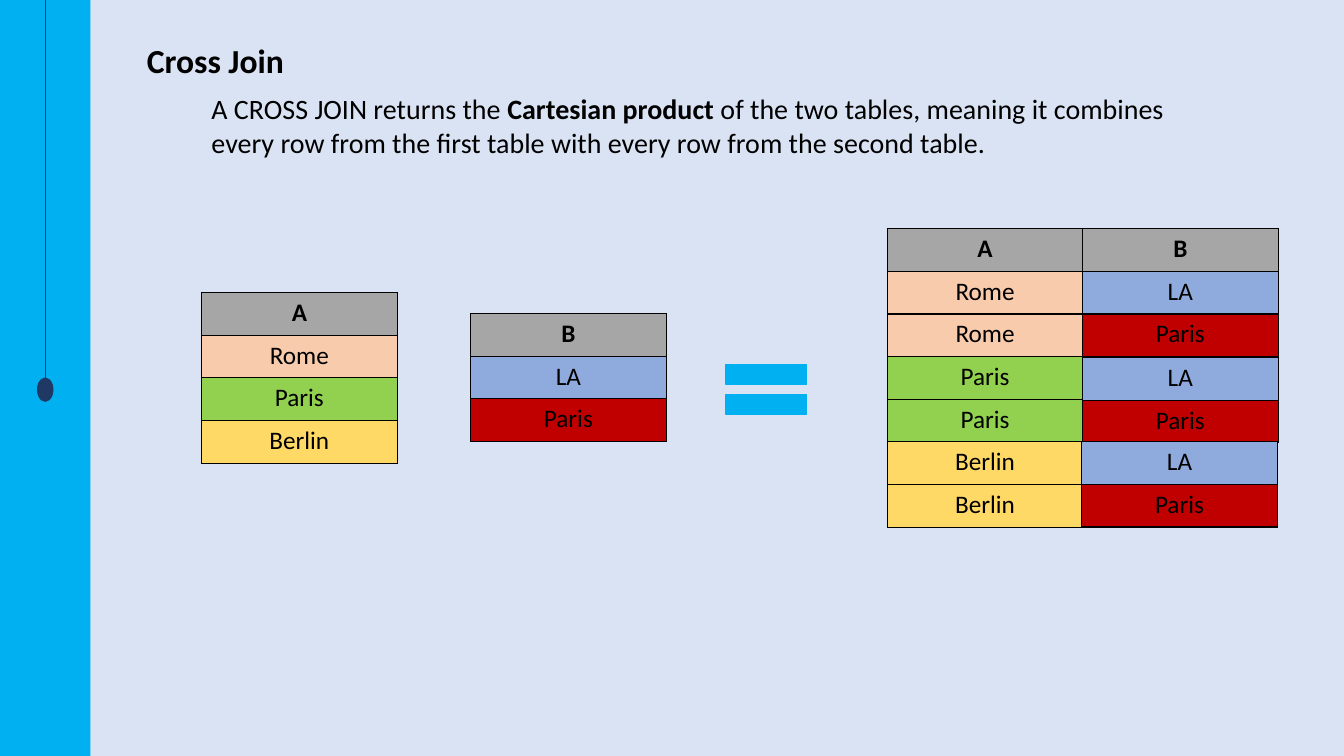
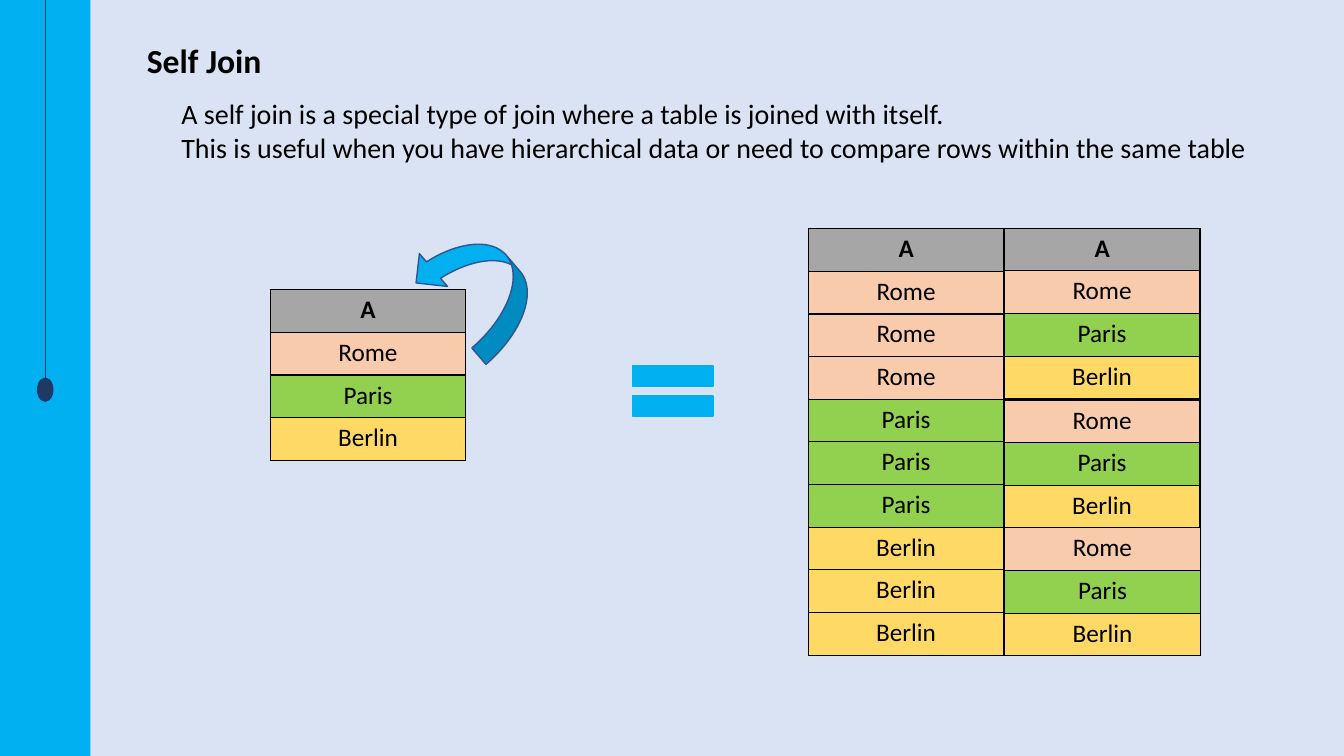
import lxml.etree
import pptx
import pptx.util
import pptx.dml.color
import pptx.enum.shapes
import pptx.enum.text
import pptx.oxml.ns

Cm = pptx.util.Cm
Pt = pptx.util.Pt
Shape = pptx.enum.shapes.MSO_SHAPE


class Theme:
    font = "Calibri"
    back, accent, navy, edge = "DAE3F3", "00B0F0", "203864", "325491"
    ink, head = "000000", "A6A6A6"
    title, body, cell = 24, 20, 18
    hair, line = 0.5, 1


WIDE, HIGH = 33.87, 19.05
BAND, DROP = 2.28, 9.53
DOT = (0.38, 0.58)
TITLE = (3.45, 0.89, 7.54, 1.27)
EQUAL = (2.77, 2.13)
COL, ROW = 4.93, 4.3 / 4

LEFT = [("Rome", "F8CBAD"), ("Paris", "92D050"), ("Berlin", "FFD966")]
RIGHT = [("LA", "8FAADC"), ("Paris", "C00000")]

SLIDES = [
    {
        "title": "Cross Join",
        "box": (5.08, 2.18, 25.68, 1.96),
        "body": [[
            ("A CROSS JOIN returns the ", False),
            ("Cartesian product ", True),
            ("of the two tables, meaning it combines every row from the "
             "first table with every row from the second table.", False),
        ]],
        "tables": [
            ((5.08, 7.37), "A", LEFT, 1),
            ((11.86, 7.9), "B", RIGHT, 1),
            ((22.36, 5.76), "A", LEFT, len(RIGHT)),
            ((27.28, 5.76), "B", RIGHT, 1),
            ((27.28, 9.01), None, RIGHT, 1),
            ((27.26, 11.13), None, RIGHT, 1),
        ],
        "equal": (17.93, 8.75),
    },
    {
        "title": "Self Join",
        "box": (4.32, 2.31, 27.86, 1.96),
        "body": [
            [("A self join is a special type of join where a table is "
              "joined with itself.", False)],
            [("This is useful when you have hierarchical data or need to "
              "compare rows within the same table", False)],
        ],
        "tables": [
            ((6.81, 7.3), "A", LEFT, 1),
            ((20.37, 5.76), "A", LEFT, len(LEFT)),
            ((25.31, 5.75), "A", LEFT, 1),
            ((25.31, 10.08), None, LEFT, 1),
            ((25.32, 13.3), None, LEFT, 1),
        ],
        "equal": (15.57, 8.79),
        "loop": ((10.39, 6.15, 3.25, 2.18), 229.4),
    },
]


def paint(fill, color):
    fill.solid()
    fill.fore_color.rgb = pptx.dml.color.RGBColor.from_string(color)


def style(font, size, bold=False):
    font.name = Theme.font
    font.size = Pt(size)
    font.bold = bold
    font.color.rgb = pptx.dml.color.RGBColor.from_string(Theme.ink)


def add_form(slide, kind, box, fill, edge=None):
    form = slide.shapes.add_shape(kind, *map(Cm, box))
    form.shadow.inherit = False
    paint(form.fill, fill)
    if edge:
        paint(form.line.fill, edge)
        form.line.width = Pt(Theme.line)
    else:
        form.line.fill.background()
    return form


def add_text(slide, box, paras, size):
    frame = slide.shapes.add_textbox(*map(Cm, box)).text_frame
    frame.word_wrap = True
    for num, parts in enumerate(paras):
        para = frame.add_paragraph() if num else frame.paragraphs[0]
        for text, bold in parts:
            run = para.add_run()
            run.text = text
            style(run.font, size, bold)


def add_side(slide):
    add_form(slide, Shape.RECTANGLE, (0, 0, BAND, HIGH), Theme.accent)
    mid = BAND / 2
    line = slide.shapes.add_connector(
        pptx.enum.shapes.MSO_CONNECTOR.STRAIGHT, Cm(mid), 0, Cm(mid), Cm(DROP))
    paint(line.line.fill, Theme.navy)
    line.line.width = Pt(Theme.hair)
    props = line._element.spPr
    lxml.etree.SubElement(props, pptx.oxml.ns.qn("a:effectLst"))
    add_form(slide, Shape.OVAL, (mid - DOT[0] / 2, DROP, *DOT),
             Theme.navy, Theme.navy)


def add_edges(cell):
    qn = pptx.oxml.ns.qn
    props = cell._tc.get_or_add_tcPr()
    for side in ("lnL", "lnR", "lnT", "lnB"):
        line = lxml.etree.SubElement(
            props, qn("a:" + side), w=str(Pt(Theme.line)))
        fill = lxml.etree.SubElement(line, qn("a:solidFill"))
        lxml.etree.SubElement(fill, qn("a:srgbClr"), val=Theme.ink)


def add_grid(slide, spot, head, items, times):
    rows = [(head, Theme.head)] if head else []
    rows += [item for item in items for _ in range(times)]
    size = (COL, ROW * len(rows))
    grid = slide.shapes.add_table(len(rows), 1, *map(Cm, spot + size)).table
    grid.first_row = grid.horz_banding = False
    for num, (text, color) in enumerate(rows):
        grid.rows[num].height = Cm(ROW)
        cell = grid.cell(num, 0)
        add_edges(cell)
        paint(cell.fill, color)
        cell.text_frame.text = text
        para = cell.text_frame.paragraphs[0]
        para.alignment = pptx.enum.text.PP_ALIGN.CENTER
        style(para.runs[0].font, Theme.cell, text == head)


def add_slide(deck, data):
    slide = deck.slides.add_slide(deck.slide_layouts[6])
    paint(slide.background.fill, Theme.back)
    add_side(slide)
    add_text(slide, TITLE, [[(data["title"], True)]], Theme.title)
    add_text(slide, data["box"], data["body"], Theme.body)
    for table in data["tables"]:
        add_grid(slide, *table)
    add_form(slide, Shape.MATH_EQUAL, data["equal"] + EQUAL,
             Theme.accent, Theme.accent)
    if "loop" in data:
        box, turn = data["loop"]
        loop = add_form(slide, Shape.CURVED_UP_ARROW, box,
                        Theme.accent, Theme.edge)
        loop.rotation = turn


def main():
    deck = pptx.Presentation()
    deck.slide_width, deck.slide_height = Cm(WIDE), Cm(HIGH)
    for data in SLIDES:
        add_slide(deck, data)
    deck.save("out.pptx")


if __name__ == "__main__":
    main()
